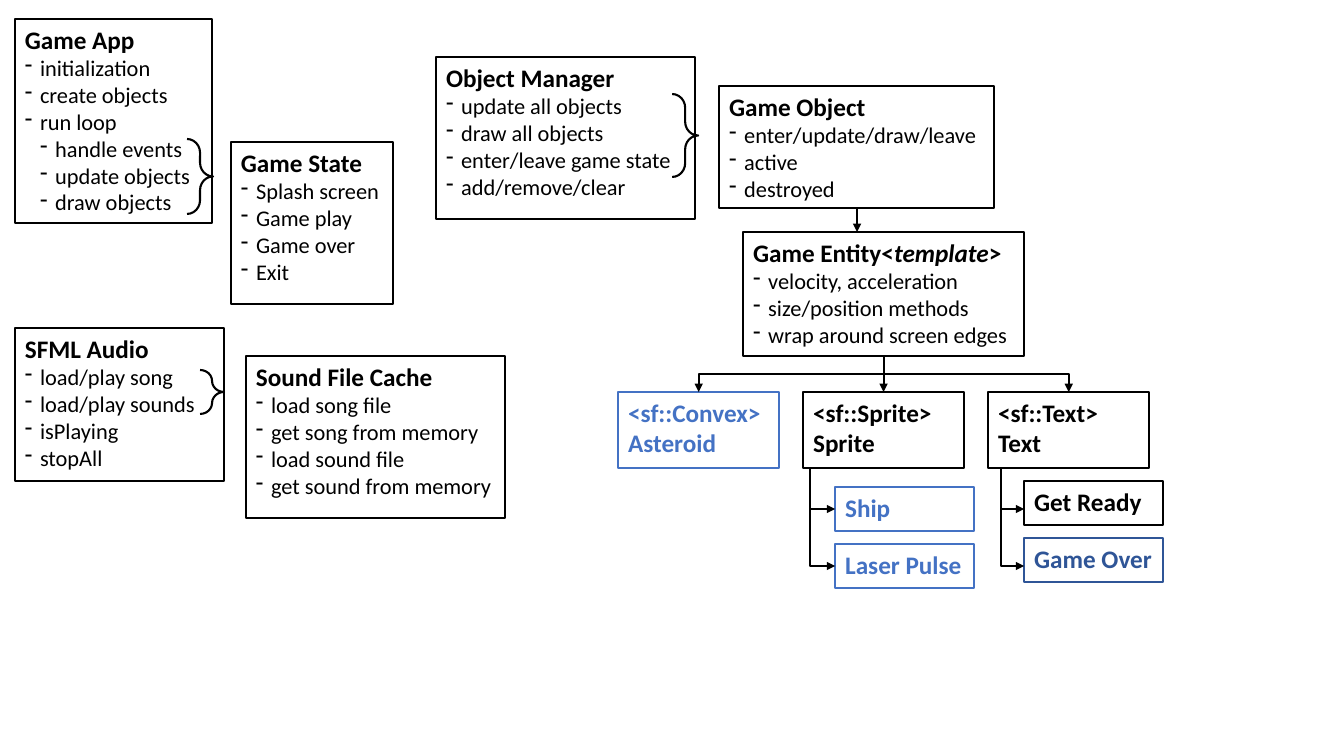
import pptx
import pptx.util
import pptx.dml.color
import pptx.enum.shapes
import pptx.enum.text
import pptx.oxml.ns
from lxml import etree

HUE = {"ink": "000000", "blue": "4472C4", "navy": "2F5597"}
SCALE = 914400 / 100.8

# Class cards: frame, title runs (the second is italic), items as (level, text)
CARDS = [
    ((15, 19, 197, 204), ["Game App"],
     [(0, "initialization"), (0, "create objects"), (0, "run loop"),
      (1, "handle events"), (1, "update objects"), (1, "draw objects")]),
    ((231, 142, 162, 162), ["Game State"],
     [(0, "Splash screen"), (0, "Game play"), (0, "Game over"), (0, "Exit")]),
    ((15, 328, 209, 153), ["SFML Audio"],
     [(0, "load/play song"), (0, "load/play sounds"), (0, "isPlaying"),
      (0, "stopAll")]),
    ((436, 57, 259, 162), ["Object Manager"],
     [(0, "update all objects"), (0, "draw all objects"),
      (0, "enter/leave game state"), (0, "add/remove/clear")]),
    ((246, 356, 259, 162), ["Sound File Cache"],
     [(0, "load song file"), (0, "get song from memory"),
      (0, "load sound file"), (0, "get sound from memory")]),
    ((719, 86, 275, 122), ["Game Object"],
     [(0, "enter/update/draw/leave"), (0, "active"), (0, "destroyed")]),
    ((743, 232, 281, 124), ["Game Entity<", "template", ">"],
     [(0, "velocity, acceleration"), (0, "size/position methods"),
      (0, "wrap around screen edges")]),
]
BRACES = [(187, 139, 26, 75), (672, 94, 26, 83), (200, 370, 24, 44)]

# Entity kinds, left to right
KINDS = [("<sf::Convex>", "Asteroid", "blue"),
         ("<sf::Sprite>", "Sprite", "ink"),
         ("<sf::Text>", "Text", "ink")]
KIND_AT, KIND_STEP = (618, 392, 161, 76), 185

# Leaf classes: left and top of the stack, trunk x, then names with hues
LEAVES = [
    (835, 487, 810, [("Ship", "blue"), ("Laser Pulse", "blue")]),
    (1024, 481, 1001, [("Get Ready", "ink"), ("Game Over", "navy")]),
]
LEAF_W, LEAF_H, LEAF_STEP, LEAF_IN = 139, 44, 57, 509

HEAD = {"size": pptx.util.Pt(18), "bold": True, "name": "Calibri"}
ITEM = {"size": pptx.util.Pt(16), "bold": False, "name": "Calibri"}
FRAME = {"word_wrap": True, "vertical_anchor": pptx.enum.text.MSO_ANCHOR.TOP}
KIND = pptx.enum.shapes.MSO_SHAPE
LINK = pptx.enum.shapes.MSO_CONNECTOR.ELBOW


def emu(*sizes):
    """Turn pixels into EMU."""
    return [round(size * SCALE) for size in sizes]


def style(thing, look):
    """Set each attribute that a format dict names."""
    for name, value in look.items():
        setattr(thing, name, value)


def rgb(hue):
    """Give the colour for a hue name."""
    return pptx.dml.color.RGBColor.from_string(HUE[hue])


def node(parent, tag, **attrs):
    """Append a drawing element to a parent."""
    return etree.SubElement(parent, pptx.oxml.ns.qn(tag), **attrs)


def stroke(part, hue="ink"):
    """Give a part its outline."""
    part.line.color.rgb = rgb(hue)
    part.line.width = pptx.util.Pt(1.5)


def shape(kind, frame, hue="ink"):
    """Add an unfilled, outlined shape."""
    part = slide.shapes.add_shape(kind, *emu(*frame))
    part.shadow.inherit = False
    part.fill.background()
    stroke(part, hue)
    return part


def write(para, text, look, hue, italic=False):
    """Add one run of text."""
    run = para.add_run()
    run.text = text
    style(run.font, {**look, "italic": italic})
    run.font.color.rgb = rgb(hue)


def box(frame, heads, items=(), hue="ink"):
    """Add a class box with bold head lines and dashed items."""
    body = shape(KIND.RECTANGLE, frame, hue).text_frame
    style(body, FRAME)
    rows = [(None, runs) for runs in heads]
    rows += [(level, [text]) for level, text in items]
    for row, (level, runs) in enumerate(rows):
        para = body.add_paragraph() if row else body.paragraphs[0]
        para.alignment = pptx.enum.text.PP_ALIGN.LEFT
        for spot, text in enumerate(runs):
            write(para, text, HEAD if level is None else ITEM, hue, spot == 1)
        if level is not None:
            para.level = level
            props = para._p.get_or_add_pPr()
            dent = pptx.util.Inches(0.15)
            props.set("marL", str(dent * (level + 1)))
            props.set("indent", str(-dent))
            node(props, "a:buFontTx")
            node(props, "a:buChar", char="-")


def arrow(x1, y1, x2, y2, preset="bentConnector3"):
    """Add an elbow arrow that leaves its start downwards."""
    run, drop = abs(x2 - x1), y2 - y1
    left, top = (x1 + x2 - drop) / 2, (y1 + y2 - run) / 2
    link = slide.shapes.add_connector(
        LINK, *emu(left, top, left + drop, top + run))
    stroke(link)
    props = link._element.spPr
    turn = {"rot": "5400000"} if x2 < x1 else {"rot": "16200000", "flipH": "1"}
    for name, value in turn.items():
        props.xfrm.set(name, value)
    props.prstGeom.set("prst", preset)
    node(link.line._get_or_add_ln(), "a:tailEnd", type="triangle")
    node(props, "a:effectLst")


deck = pptx.Presentation()
style(deck, {"slide_width": pptx.util.Inches(13.33),
             "slide_height": pptx.util.Inches(7.5)})
slide = deck.slides.add_slide(deck.slide_layouts[6])

for frame, title, items in CARDS:
    box(frame, [title], items)
for frame in BRACES:
    brace = shape(KIND.RIGHT_BRACE, frame)
    brace.adjustments[0] = 0.53

left, top, width, height = KIND_AT
base = top + height
mid = left + KIND_STEP + width / 2
arrow(857, 208, 857, 232)
for col, (base_type, name, hue) in enumerate(KINDS):
    x = left + col * KIND_STEP
    box((x, top, width, height), [[base_type], [name]], hue=hue)
    arrow(mid, 356, x + width / 2, top)

for x, y, trunk, names in LEAVES:
    for row, (name, hue) in enumerate(names):
        shift = row * LEAF_STEP
        box((x, y + shift, LEAF_W, LEAF_H), [[name]], hue=hue)
        arrow(trunk, base, x, LEAF_IN + shift, "bentConnector2")

deck.save("out.pptx")
